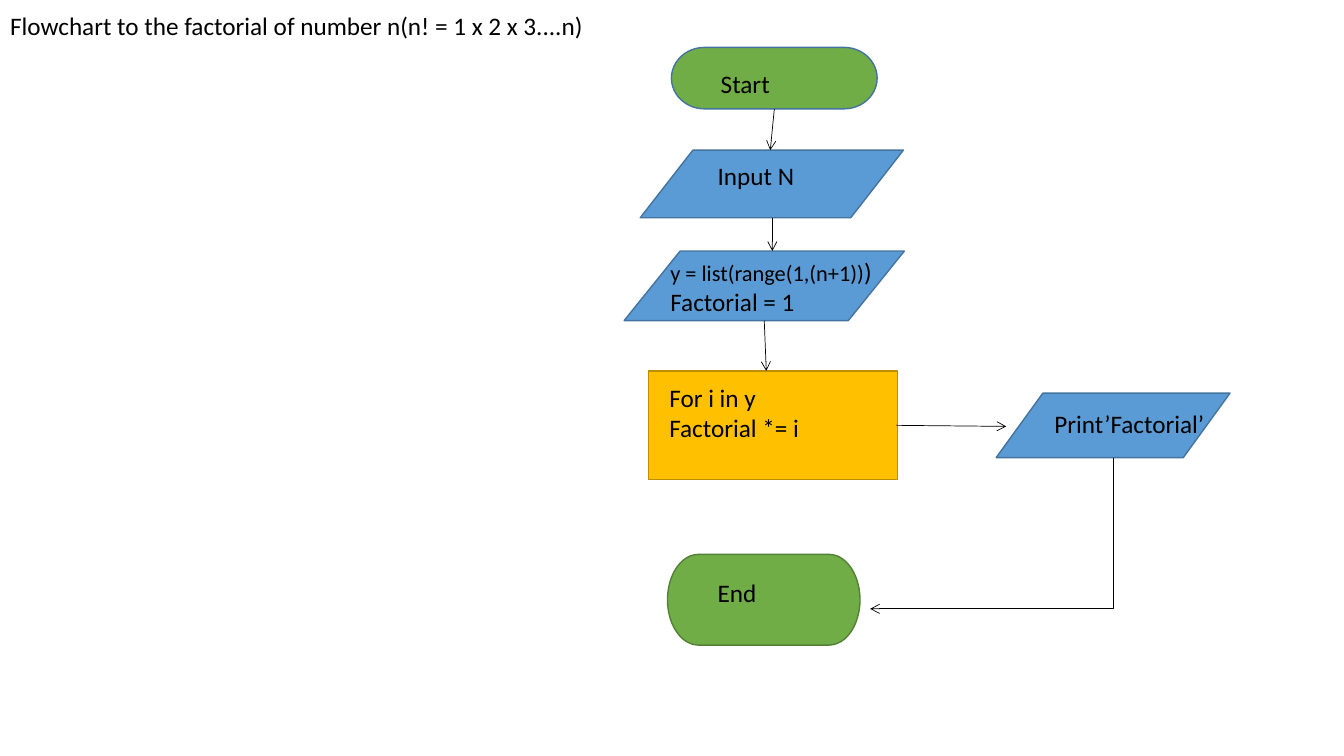
from dataclasses import dataclass

from lxml import etree
from pptx import Presentation
from pptx import util as u
from pptx.dml.color import RGBColor
from pptx.enum import shapes, text
from pptx.oxml.ns import qn

EMU_PER_PX = 9144  # 100 px to the inch


@dataclass(frozen=True)
class Theme:
    font: str = "Calibri"
    ink: str = "000000"
    green: str = "70AD47"
    green_edge: str = "538035"
    blue: str = "5B9BD5"
    blue_edge: str = "43739E"
    amber: str = "FFC000"
    amber_edge: str = "BD8E00"
    body: int = 18
    small: int = 16
    outline: float = 1
    arrow: float = 0.5


THEME = Theme()


def px(*lengths):
    return [u.Emu(length * EMU_PER_PX) for length in lengths]


def apply_format(target, values):
    for name, value in values.items():
        setattr(target, name, value)


def add_run(paragraph, wording, size=THEME.body):
    run = paragraph.add_run()
    run.text = wording
    apply_format(run.font, {"name": THEME.font, "size": u.Pt(size), "bold": False})
    run.font.color.rgb = RGBColor.from_string(THEME.ink)


def set_title(slide, wording):
    title = slide.shapes.title
    left, top, width, height, inset = px(0, 0, 655, 115, 14)
    apply_format(title, {"left": left, "top": top, "width": width, "height": height})
    apply_format(title.text_frame, {
        "vertical_anchor": text.MSO_ANCHOR.TOP,
        "margin_top": inset,
        "word_wrap": True,
        "auto_size": text.MSO_AUTO_SIZE.NONE,
    })
    paragraph = title.text_frame.paragraphs[0]
    apply_format(paragraph, {"alignment": text.PP_ALIGN.LEFT, "line_spacing": 0.9})
    add_run(paragraph, wording)


def add_step(slide, kind, box, fill, edge):
    step = slide.shapes.add_shape(kind, *px(*box))
    step.shadow.inherit = False
    step.fill.solid()
    step.fill.fore_color.rgb = RGBColor.from_string(fill)
    step.line.color.rgb = RGBColor.from_string(edge)
    step.line.width = u.Pt(THEME.outline)


def add_label(slide, box, lines):
    """Each line is a list of (wording, size) runs."""
    frame = slide.shapes.add_textbox(*px(*box)).text_frame
    apply_format(frame, {"word_wrap": True, "auto_size": text.MSO_AUTO_SIZE.SHAPE_TO_FIT_TEXT})
    for index, runs in enumerate(lines):
        paragraph = frame.add_paragraph() if index else frame.paragraphs[0]
        for wording, size in runs:
            add_run(paragraph, wording, size)


def add_arrow(slide, start, end, kind=shapes.MSO_CONNECTOR.STRAIGHT):
    arrow = slide.shapes.add_connector(kind, *px(*start, *end))
    arrow.line.color.rgb = RGBColor.from_string(THEME.ink)
    arrow.line.width = u.Pt(THEME.arrow)
    properties = arrow._element.spPr
    etree.SubElement(properties.find(qn("a:ln")), qn("a:tailEnd"), type="arrow")
    etree.SubElement(properties, qn("a:effectLst"))
    return arrow


def add_corner_arrow(slide, start, end):
    """Run down from start, then left to end: a one-bend elbow turned a quarter."""
    (right, top), (left, bottom) = start, end
    arrow = add_arrow(slide, start, end, shapes.MSO_CONNECTOR.ELBOW)
    properties = arrow._element.spPr
    properties.find(qn("a:prstGeom")).set("prst", "bentConnector2")
    frame = properties.find(qn("a:xfrm"))
    frame.attrib.pop("flipH", None)
    frame.set("rot", "5400000")
    # The unturned frame shares its centre with the visible path
    run, drop = px(right - left, bottom - top)
    centre_x, centre_y = px((left + right) / 2, (top + bottom) / 2)
    apply_format(arrow, {
        "left": u.Emu(centre_x - drop // 2),
        "top": u.Emu(centre_y - run // 2),
        "width": drop,
        "height": run,
    })


def main():
    presentation = Presentation()
    presentation.slide_width, presentation.slide_height = px(1333, 750)
    slide = presentation.slides.add_slide(presentation.slide_layouts[5])
    set_title(slide, "Flowchart to the factorial of number n(n! = 1 x 2 x 3....n)")

    # Flowchart steps
    terminator = shapes.MSO_SHAPE.FLOWCHART_TERMINATOR
    data = shapes.MSO_SHAPE.FLOWCHART_DATA
    process = shapes.MSO_SHAPE.FLOWCHART_PROCESS
    for kind, box, fill, edge in (
        (terminator, (666, 47, 204, 61), THEME.green, THEME.blue_edge),
        (data, (635, 149, 261, 67), THEME.blue, THEME.blue_edge),
        (data, (619, 249, 278, 69), THEME.blue, THEME.blue_edge),
        (process, (643, 368, 247, 108), THEME.amber, THEME.amber_edge),
        (data, (988, 390, 232, 64), THEME.blue, THEME.blue_edge),
        (terminator, (662, 550, 191, 90), THEME.green, THEME.green_edge),
    ):
        add_step(slide, kind, box, fill, edge)

    # Arrows between the steps
    for start, end in (
        ((768, 108), (764, 149)),
        ((766, 216), (766, 249)),
        ((758, 318), (760, 368)),
        ((889, 422), (998, 423)),
    ):
        add_arrow(slide, start, end)
    add_corner_arrow(slide, (1104, 454), (863, 604))

    # Step labels
    body, small = THEME.body, THEME.small
    for box, lines in (
        ((705, 63, 133, 40), [[("Start", body)]]),
        ((702, 154, 133, 40), [[("Input N", body)]]),
        ((655, 249, 285, 71),
         [[("y = list(range(1,(n+1))", small), (")", body)], [("Factorial = 1", body)]]),
        ((654, 374, 207, 71), [[("For i in y", body)], [("Factorial *= i", body)]]),
        ((1036, 400, 184, 40), [[("Print’Factorial’", body)]]),
        ((702, 568, 130, 40), [[("End", body)]]),
    ):
        add_label(slide, box, lines)

    presentation.save("out.pptx")


if __name__ == "__main__":
    main()
